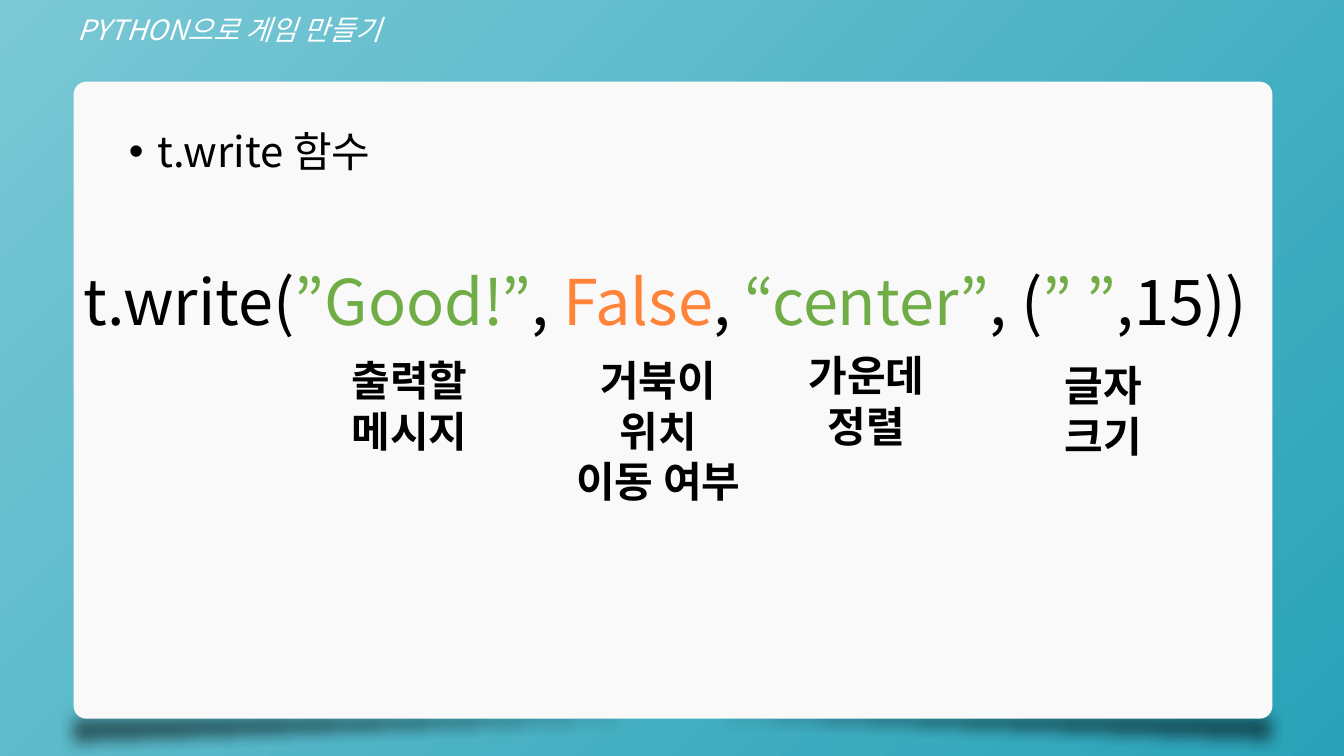
from dataclasses import dataclass

from lxml import etree
from pptx import Presentation
from pptx.dml.color import RGBColor
from pptx.enum import shapes, text
from pptx.oxml import ns
from pptx.util import Inches, Pt

FONT = "Noto Sans CJK KR"
BLACK, WHITE, GREEN, ORANGE = "000000", "FFFFFF", "70AD47", "FF843A"
LEFT, CENTER = text.PP_ALIGN.LEFT, text.PP_ALIGN.CENTER


@dataclass
class TextBlock:
    left: float
    top: float
    width: float
    height: float
    lines: list[list[tuple[str, str]]]
    size: int = 30
    align: text.PP_ALIGN = LEFT
    bold: bool = False
    italic: bool = False
    bullet: bool = False


@dataclass
class CardShadow:
    left: float
    top: float
    flips: tuple[str, ...]


def color(value: str) -> RGBColor:
    return RGBColor.from_string(value)


def add_child(parent, tag: str, **attributes: str):
    return etree.SubElement(parent, ns.qn(tag), attributes)


def add_filled_shape(slide, kind, left, top, width, height, fill):
    shape = slide.shapes.add_shape(
        kind, Inches(left), Inches(top), Inches(width), Inches(height)
    )
    shape.shadow.inherit = False
    shape.fill.solid()
    shape.fill.fore_color.rgb = color(fill)
    shape.line.fill.background()
    return shape


def add_card_shadow(slide, shadow: CardShadow) -> None:
    shape = add_filled_shape(
        slide, shapes.MSO_SHAPE.RIGHT_TRIANGLE,
        shadow.left, shadow.top, 12.02, 0.5, BLACK,
    )
    properties = shape._element.spPr
    for flip in shadow.flips:
        properties.find(ns.qn("a:xfrm")).set(flip, "1")
    fill_color = properties.find(ns.qn("a:solidFill"))[0]
    add_child(fill_color, "a:alpha", val="51000")
    effects = properties.find(ns.qn("a:effectLst"))
    add_child(effects, "a:softEdge", rad=str(Inches(0.14)))


def add_bullet(paragraph) -> None:
    properties = paragraph._p.get_or_add_pPr()
    properties.set("marL", str(Inches(0.28)))
    properties.set("indent", str(Inches(-0.28)))
    add_child(properties, "a:buFont", typeface="Arial")
    add_child(properties, "a:buChar", char="•")


def add_text_block(slide, block: TextBlock) -> None:
    box = slide.shapes.add_textbox(
        Inches(block.left), Inches(block.top),
        Inches(block.width), Inches(block.height),
    )
    frame = box.text_frame
    frame.word_wrap = True
    for index, line in enumerate(block.lines):
        paragraph = frame.add_paragraph() if index else frame.paragraphs[0]
        paragraph.alignment = block.align
        if block.bullet:
            add_bullet(paragraph)
        for wording, run_color in line:
            run = paragraph.add_run()
            run.text = wording
            run.font.size = Pt(block.size)
            run.font.name = FONT
            run.font.bold = block.bold
            run.font.italic = block.italic
            run.font.color.rgb = color(run_color)
            add_child(run._r.get_or_add_rPr(), "a:ea", typeface=FONT)


def add_label(slide, left, top, width, height, words, align=LEFT) -> None:
    lines = [[(word, BLACK)] for word in words]
    add_text_block(
        slide, TextBlock(left, top, width, height, lines, align=align, bold=True)
    )


presentation = Presentation()
presentation.slide_width = Inches(13.33)
presentation.slide_height = Inches(7.5)
slide = presentation.slides.add_slide(presentation.slide_layouts[6])

background = slide.background.fill
background.gradient()
background.gradient_angle = 315
for stop, stop_color in zip(background.gradient_stops, ("7AC8D5", "29A2B7")):
    stop.color.rgb = color(stop_color)

for shadow in (
    CardShadow(0.71, 6.98, ("flipH", "flipV")),
    CardShadow(0.6, 7, ("flipV",)),
):
    add_card_shadow(slide, shadow)

card = add_filled_shape(
    slide, shapes.MSO_SHAPE.ROUNDED_RECTANGLE, 0.73, 0.81, 11.89, 6.32, "F9F9F9"
)
card.adjustments[0] = 0.02

heading = [("PYTHON으로 게임 만들기", WHITE)]
topic = [("t.write 함수", BLACK)]
call = [
    ("t.write(", BLACK), ("”Good!”", GREEN), (", ", BLACK), ("False", ORANGE),
    (", ", BLACK), ("“center”", GREEN), (", (", BLACK), ("” ”", GREEN),
    (",15)) ", BLACK),
]
for block in (
    TextBlock(0.67, 0.08, 7.52, 0.43, [heading], size=20, italic=True),
    TextBlock(1.18, 1.2, 7.16, 0.6, [topic], bullet=True),
    TextBlock(0.6, 2.56, 12.13, 0.84, [call], size=45, align=CENTER),
):
    add_text_block(slide, block)

add_label(slide, 3.39, 3.47, 1.85, 1.09, ("출력할", "메시지"))
add_label(slide, 5.55, 3.47, 1.96, 1.59, ("거북이", "위치", "이동 여부"), CENTER)
add_label(slide, 7.67, 3.42, 1.85, 1.1, ("가운데", "정렬"), CENTER)
add_label(slide, 10.46, 3.52, 1.85, 1.1, ("글자", "크기"))

presentation.save("out.pptx")
